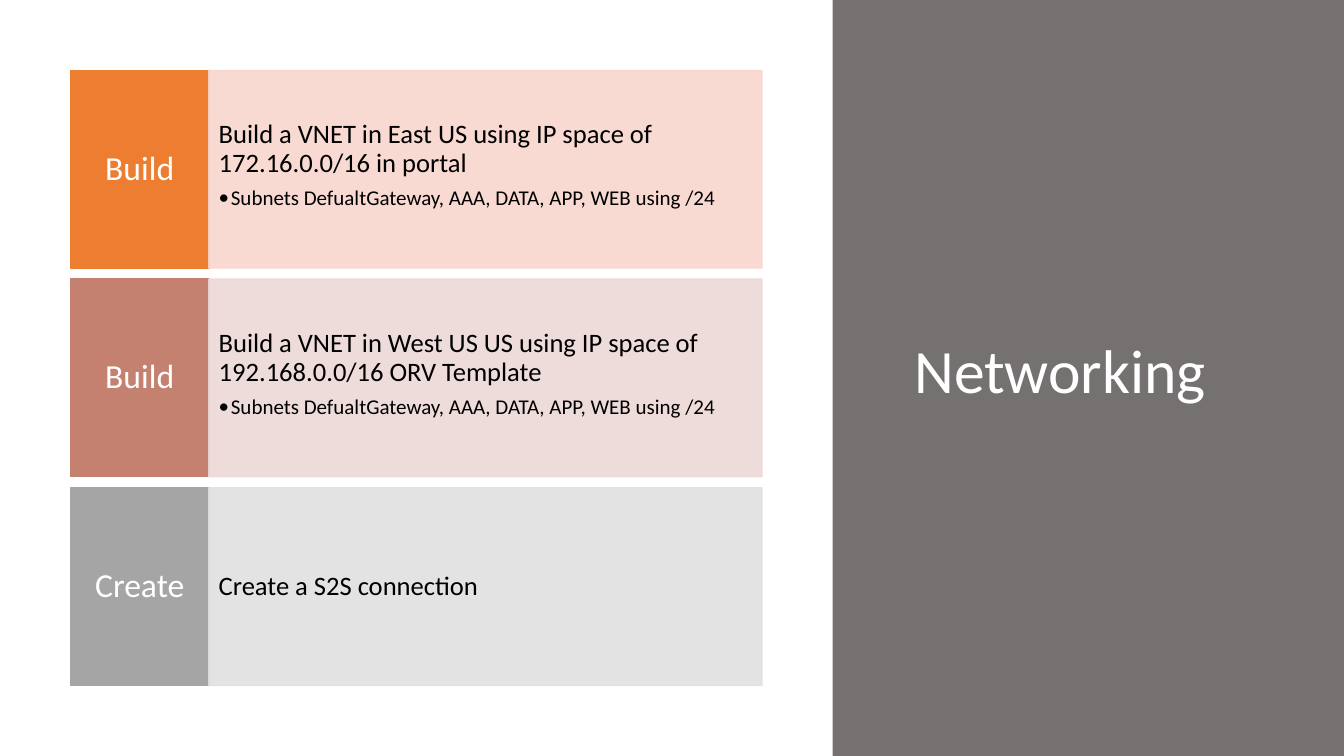
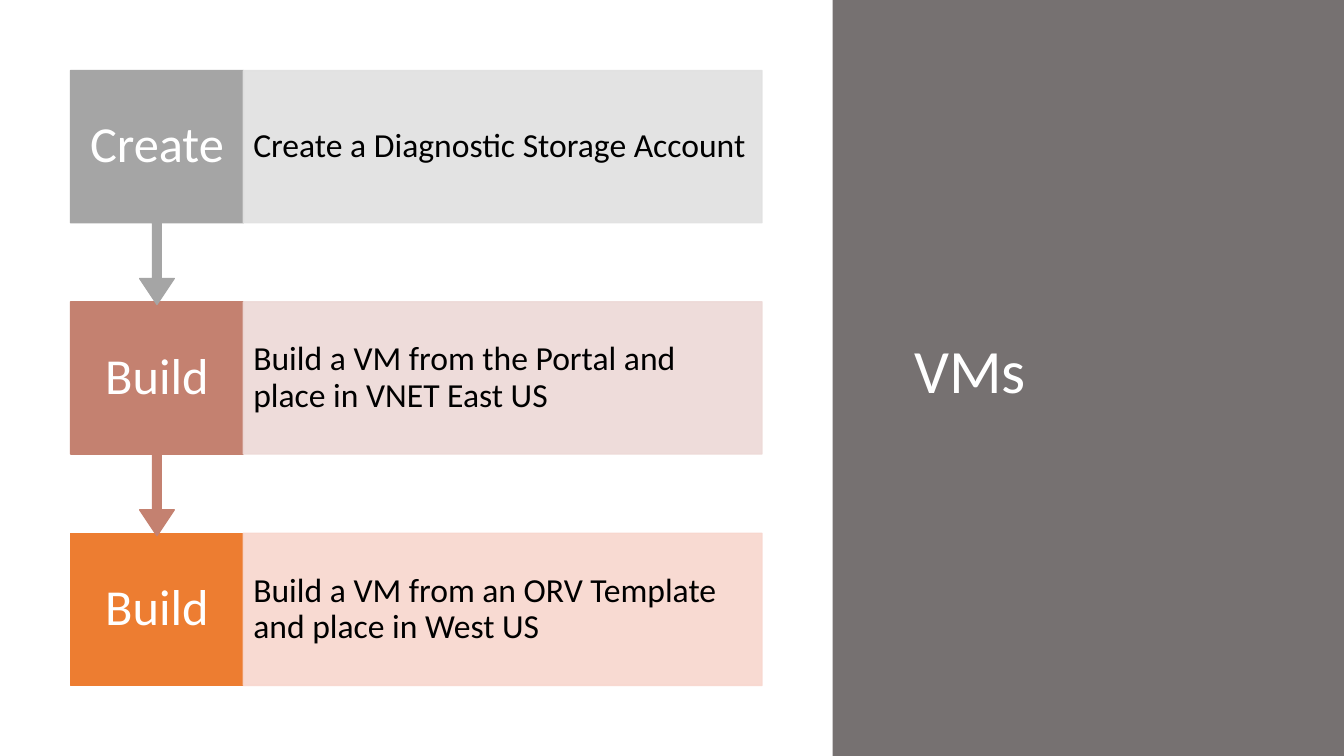
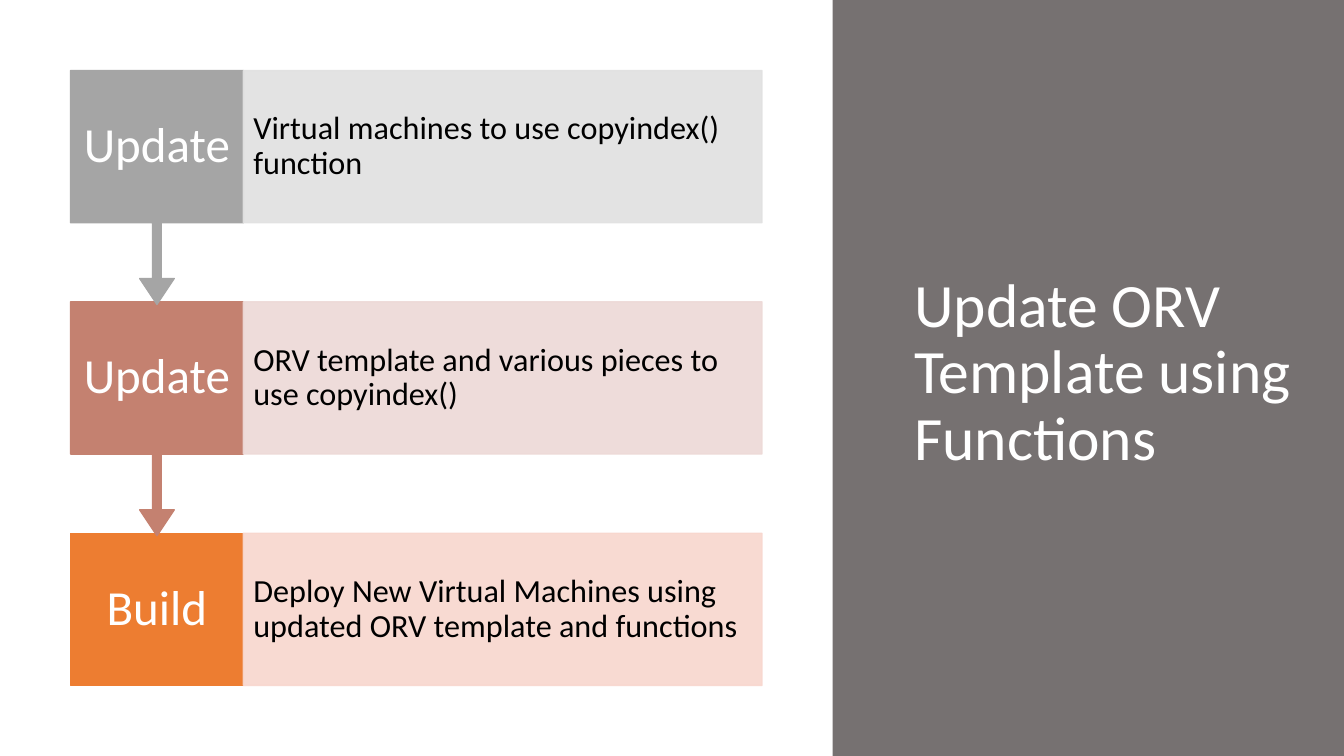
from lxml.etree import SubElement as Sub
from pptx import Presentation
from pptx.dml.color import RGBColor as Rgb
from pptx.enum.shapes import MSO_SHAPE as Shape
from pptx.enum.text import MSO_ANCHOR as Anchor, MSO_AUTO_SIZE as Fit, PP_ALIGN as Align
from pptx.oxml.ns import qn
from pptx.util import Inches, Pt

# Colours: each hue has a strong tag tone and a pale box tone
HUES = {
    "band": "767171", "white": "FFFFFF", "black": "000000",
    "orange": "ED7D31", "orange pale": "F8D7CE",
    "rose": "C48170", "rose pale": "EDD9D7",
    "grey": "A5A5A5", "grey pale": "E1E1E1",
}
FONT = "Calibri"

# Grid: columns and rows of a tenth of an inch
CELL = Inches(0.1)
COLS, ROWS = 133.33, 75
BAND = (82.6, 0, 50.73, ROWS)
TITLE = (89.7, 7, 40.1, 60.2)
LEFT, TOP, WIDTH, HEIGHT = 7, 7, 68.6, 61


def cells(*nums):
    return [int(n * CELL) for n in nums]


class Deck:
    def __init__(self):
        self.prs = Presentation()
        self.prs.slide_width, self.prs.slide_height = cells(COLS, ROWS)
        self.slide = None

    def page(self, title):
        """Start a slide with the side band and its title."""
        self.slide = self.prs.slides.add_slide(self.prs.slide_layouts[5])
        self.block(Shape.RECTANGLE, BAND, "band")
        head = self.slide.shapes.title
        head.left, head.top, head.width, head.height = cells(*TITLE)
        frame = head.text_frame
        frame.text = title
        frame.word_wrap, frame.auto_size = True, Fit.NONE
        frame.vertical_anchor = Anchor.MIDDLE
        self.style(frame.paragraphs[0], 44, "white")
        # Bring the title in front of the band
        self.slide.shapes._spTree.append(head._element)

    def style(self, para, size, hue, align=Align.LEFT):
        para.alignment, para.line_spacing = align, 0.9
        for run in para.runs:
            font = run.font
            font.name, font.size = FONT, Pt(size)
            font.color.rgb = Rgb.from_string(HUES[hue])

    def block(self, kind, area, hue, line=False, alpha=None):
        item = self.slide.shapes.add_shape(kind, *cells(*area))
        item.shadow.inherit = False
        item.fill.solid()
        item.fill.fore_color.rgb = Rgb.from_string(HUES[hue])
        if line:
            item.line.color.rgb = Rgb.from_string(HUES[hue])
            item.line.width = Pt(1)
        else:
            item.line.fill.background()
        if alpha:
            for tone in item._element.spPr.iter(qn("a:srgbClr")):
                Sub(tone, qn("a:alpha"), val=str(alpha * 1000))
        return item

    def frame(self, item, text, pad=0):
        frame = item.text_frame
        frame.text = text
        frame.word_wrap = True
        frame.margin_left = frame.margin_right = Inches(0.1)
        frame.margin_top = frame.margin_bottom = Inches(pad)
        frame.vertical_anchor = Anchor.TOP if pad else Anchor.MIDDLE
        return frame

    def tag(self, area, text, size, hue, drop):
        """Strong label; a drop makes it a callout with an arrow that long."""
        x, y, wide, high = area
        if drop:
            full = high + drop
            item = self.block(Shape.DOWN_ARROW_CALLOUT, (x, y, wide, full), hue, True)
            for i, share in enumerate((0.05, 0.1, 0.15, high / full)):
                item.adjustments[i] = share
        else:
            item = self.block(Shape.RECTANGLE, area, hue, True)
        frame = self.frame(item, text)
        self.style(frame.paragraphs[0], size, "white", Align.CENTER)

    def box(self, area, text, size, hue, note):
        """Pale panel with a sentence and perhaps one bullet below it."""
        item = self.block(Shape.RECTANGLE, area, hue + " pale", True, 90)
        frame = self.frame(item, text, 0.5 if note else 0)
        first = frame.paragraphs[0]
        self.style(first, size, "black")
        if note:
            first.space_after = Pt(size * 0.35)
            para = frame.add_paragraph()
            para.text = note
            self.style(para, 15, "black")
            props = para._p.get_or_add_pPr()
            props.set("marL", str(Inches(0.12)))
            props.set("indent", str(-Inches(0.12)))
            Sub(props, qn("a:buFont"), typeface=FONT)
            Sub(props, qn("a:buChar"), char="•")

    def steps(self, rows, high, share, big, small, arrows=False):
        """Equal rows over the list area, drawn from the last one up."""
        last = len(rows) - 1
        pitch = (HEIGHT - high) / last
        wide = WIDTH * share
        for i, (hue, label, text, *note) in reversed(list(enumerate(rows))):
            y = TOP + i * pitch
            # The arrow tip just enters the next row
            drop = pitch - high + 0.25 if arrows and i < last else 0
            self.tag((LEFT, y, wide, high), label, big, hue, drop)
            self.box((LEFT + wide, y, WIDTH - wide, high), text, small, hue,
                     note[0] if note else None)


def main():
    deck = Deck()

    # Networking
    nets = "Subnets DefualtGateway, AAA, DATA, APP, WEB using /24"
    deck.page("Networking")
    deck.steps([
        ("orange", "Build",
         "Build a VNET in East US using IP space of 172.16.0.0/16 in portal", nets),
        ("rose", "Build",
         "Build a VNET in West US US using IP space of 192.168.0.0/16 ORV Template", nets),
        ("grey", "Create", "Create a S2S connection"),
    ], 19.6, 0.2, 24, 19)

    # Machines
    deck.page("VMs")
    deck.steps([
        ("grey", "Create", "Create a Diagnostic Storage Account"),
        ("rose", "Build", "Build a VM from the Portal and place in VNET East US"),
        ("orange", "Build", "Build a VM from an ORV Template and place in West US"),
    ], 15.1, 0.25, 36, 24, True)

    # Template functions
    deck.page("Update ORV Template using Functions")
    deck.steps([
        ("grey", "Update", "Virtual machines to use copyindex() function"),
        ("rose", "Update", "ORV template and various pieces to use copyindex()"),
        ("orange", "Build",
         "Deploy New Virtual Machines using updated ORV template and functions"),
    ], 15.1, 0.25, 35, 23, True)

    deck.prs.save("out.pptx")


if __name__ == "__main__":
    main()
